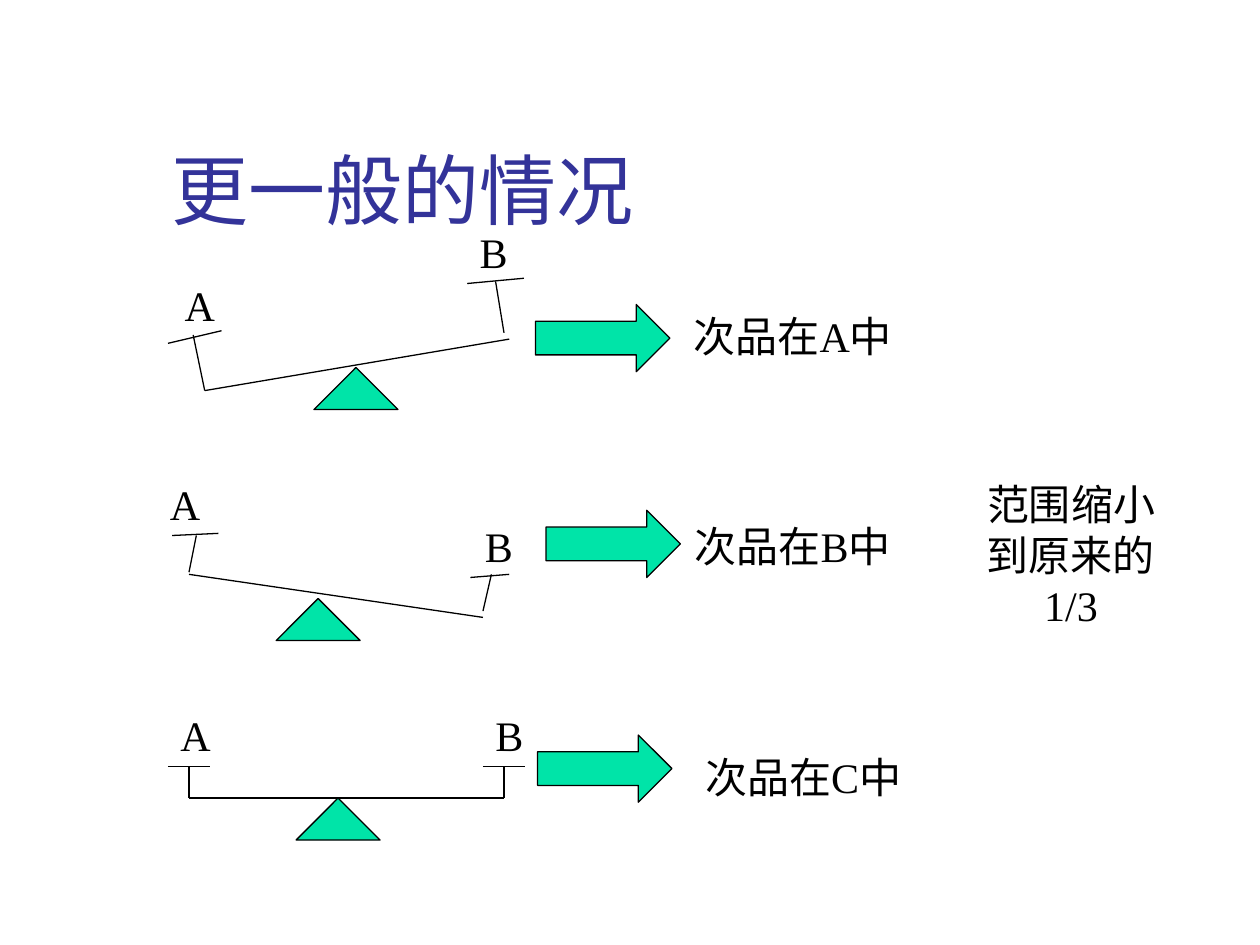
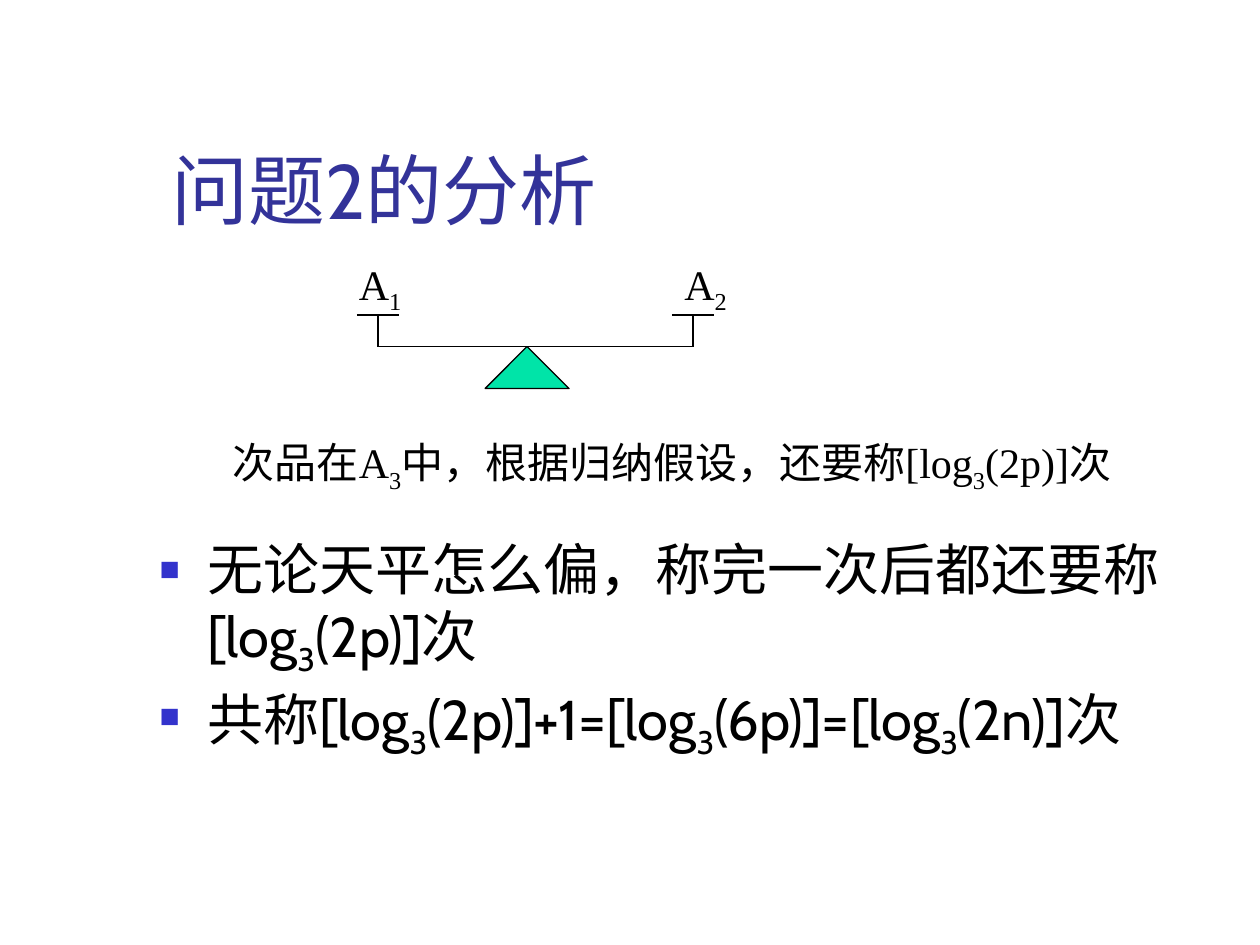
from collections import namedtuple
from dataclasses import dataclass

from lxml import etree
from pptx import Presentation
from pptx.dml.color import RGBColor
from pptx.enum.shapes import MSO_CONNECTOR, MSO_SHAPE
from pptx.enum.text import MSO_ANCHOR, MSO_AUTO_SIZE, PP_ALIGN
from pptx.oxml.ns import qn
from pptx.util import Inches, Pt

LEFT, CENTER = PP_ALIGN.LEFT, PP_ALIGN.CENTER
STRAIGHT = MSO_CONNECTOR.STRAIGHT
TRIANGLE, ARROW = MSO_SHAPE.ISOSCELES_TRIANGLE, MSO_SHAPE.RIGHT_ARROW
CONTENT_LAYOUT, TITLE_LAYOUT = 1, 5

# The slide is a grid of 120 columns and 90 rows of square cells
SLIDE_WIDTH, SLIDE_HEIGHT = Inches(10), Inches(7.5)
CELL = SLIDE_WIDTH / 120


@dataclass(frozen=True)
class Theme:
    title: RGBColor = RGBColor(0x33, 0x33, 0x99)
    bullet: str = "3333CC"
    fill: RGBColor = RGBColor(0x00, 0xE4, 0xA8)
    ink: RGBColor = RGBColor(0, 0, 0)
    heading_font: str = "Cabin"
    label_font: str = "Times New Roman"
    title_size: Pt = Pt(44)
    body_size: Pt = Pt(32)
    label_size: Pt = Pt(24)
    line_width: Pt = Pt(0.75)


THEME = Theme()

# Boxes are left, top, width, height in cells
TITLE_BOX = (15.1, 8, 102.2, 15)
BODY_BOX = (14, 51, 102, 28)
LABEL_SIZE = (17, 6)
PIVOT_SIZE = (8, 4)
ARROW_SIZE = (12.8, 6.4)
OUTCOME_SIZE = (29, 6)

# Balance geometry in cells, relative to the corner of the balance
Balance = namedtuple("Balance", "lines pivot labels")
LEVEL = Balance(
    lines=[(2, 9, 32, 9), (2, 9, 2, 6), (32, 9, 32, 6), (0, 6, 4, 6), (30, 6, 34, 6)],
    pivot=(12.2, 9),
    labels=[(0, 0), (30, 0)],
)
LEFT_DOWN = Balance(
    lines=[(3.5, 16.2, 32.5, 11.3), (3.5, 16.2, 2.4, 10.9), (32, 10.7, 31.2, 5.8),
           (0, 11.7, 5.1, 10.5), (28.5, 6, 33.9, 5.5)],
    pivot=(13.9, 14),
    labels=[(0.4, 5), (28.5, 0)],
)
RIGHT_DOWN = Balance(
    lines=[(3, 9.7, 31, 13.8), (31, 13.2, 31.8, 9.7), (3, 9.5, 3.7, 6),
           (1.4, 6, 5.8, 5.8), (29.8, 10, 33.5, 9.7)],
    pivot=(11.3, 12),
    labels=[(0, 0), (30, 4)],
)


def cells(*lengths):
    return [round(length * CELL) for length in lengths]


def style_font(font, name, size, color):
    font.name, font.size = name, size
    font.color.rgb = color


def write(para, text):
    """Fill a paragraph; every second piece between bars is a subscript."""
    for index, piece in enumerate(text.split("|")):
        span = para.add_run()
        span.text = piece
        if index % 2:
            span.font._element.set("baseline", "-25000")


def add_label(shapes, box, text, align=LEFT):
    label = shapes.add_textbox(*cells(*box))
    label.text_frame.word_wrap = True
    para = label.text_frame.paragraphs[0]
    para.alignment = align
    write(para, text)
    for span in para.runs:
        style_font(span.font, THEME.label_font, THEME.label_size, THEME.ink)


def add_preset(shapes, kind, box):
    shape = shapes.add_shape(kind, *cells(*box))
    shape.shadow.inherit = False
    shape.fill.solid()
    shape.fill.fore_color.rgb = THEME.fill
    shape.line.color.rgb = THEME.ink
    shape.line.width = THEME.line_width


def add_line(shapes, ends):
    line = shapes.add_connector(STRAIGHT, *cells(*ends))
    line.line.color.rgb = THEME.ink
    line.line.width = THEME.line_width
    etree.SubElement(line._element.spPr, qn("a:effectLst"))


def add_balance(shapes, corner, balance, names, label_shift=0):
    """Draw pivot, beam, posts, pans and pan labels from the given corner."""
    left, top = corner
    add_preset(shapes, TRIANGLE,
               (left + balance.pivot[0], top + balance.pivot[1], *PIVOT_SIZE))
    for x1, y1, x2, y2 in balance.lines:
        add_line(shapes, (left + x1, top + y1, left + x2, top + y2))
    shifts = (label_shift, 0)
    for name, (x, y), shift in zip(names, balance.labels, shifts):
        add_label(shapes, (left + x + shift, top + y, *LABEL_SIZE), name)


def place(holder, box):
    holder.left, holder.top, holder.width, holder.height = cells(*box)
    holder.text_frame.word_wrap = True
    holder.text_frame.auto_size = MSO_AUTO_SIZE.NONE


def add_page(deck, layout, title):
    page = deck.slides.add_slide(deck.slide_layouts[layout])
    holder = page.shapes.title
    place(holder, TITLE_BOX)
    frame = holder.text_frame
    frame.text = title
    frame.vertical_anchor = MSO_ANCHOR.BOTTOM
    para = frame.paragraphs[0]
    para.alignment = LEFT
    style_font(para.runs[0].font, THEME.heading_font, THEME.title_size, THEME.title)
    return page


def add_bullet(para):
    props = para._p.get_or_add_pPr()
    indent = Inches(0.38)
    props.set("marL", str(indent))
    props.set("indent", str(-indent))
    color = etree.SubElement(props, qn("a:buClr"))
    etree.SubElement(color, qn("a:srgbClr"), val=THEME.bullet)
    etree.SubElement(props, qn("a:buSzPct"), val="60000")
    etree.SubElement(props, qn("a:buChar"), char="■")


def fill_body(holder, box, items):
    place(holder, box)
    frame = holder.text_frame
    for index, item in enumerate(items):
        para = frame.add_paragraph() if index else frame.paragraphs[0]
        add_bullet(para)
        para.line_spacing = 0.9
        para.space_before = Pt(8 if index else 0)
        write(para, item)
        for span in para.runs:
            style_font(span.font, THEME.heading_font, THEME.body_size, THEME.ink)


def build_general_case(deck):
    page = add_page(deck, TITLE_LAYOUT, "更一般的情况")
    # Each weighing: balance, its corner, arrow corner, outcome corner, outcome
    weighings = [
        (LEFT_DOWN, (16, 21), (51, 29), (61, 29), "次品在A中"),
        (RIGHT_DOWN, (15, 45), (52, 48.6), (61, 49), "次品在B中"),
        (LEVEL, (16, 67), (51.2, 70), (62, 71), "次品在C中"),
    ]
    for balance, corner, arrow, outcome, text in weighings:
        group = page.shapes.add_group_shape()
        add_balance(group.shapes, corner, balance, "AB")
        add_label(page.shapes, (*outcome, *OUTCOME_SIZE), text, CENTER)
        add_preset(page.shapes, ARROW, (*arrow, *ARROW_SIZE))
    # Conclusion
    add_label(page.shapes, (92, 45, 20, 15.6), "范围缩小到原来的1/3", CENTER)


def build_analysis(deck):
    page = add_page(deck, CONTENT_LAYOUT, "问题2的分析")
    # Weighing and its outcome
    add_balance(page.shapes, (34, 24), LEVEL, ["A|1", "A|2"], label_shift=-1)
    add_label(page.shapes, (18, 41, 92, 6.7),
              "次品在A|3|中，根据归纳假设，还要称[log|3|(2p)]次", CENTER)
    # Conclusions
    fill_body(page.placeholders[1], BODY_BOX, [
        "无论天平怎么偏，称完一次后都还要称[log|3|(2p)]次",
        "共称[log|3|(2p)]+1=[log|3|(6p)]=[log|3|(2n)]次",
    ])


def main():
    deck = Presentation()
    deck.slide_width, deck.slide_height = SLIDE_WIDTH, SLIDE_HEIGHT
    build_general_case(deck)
    build_analysis(deck)
    deck.save("out.pptx")


if __name__ == "__main__":
    main()
